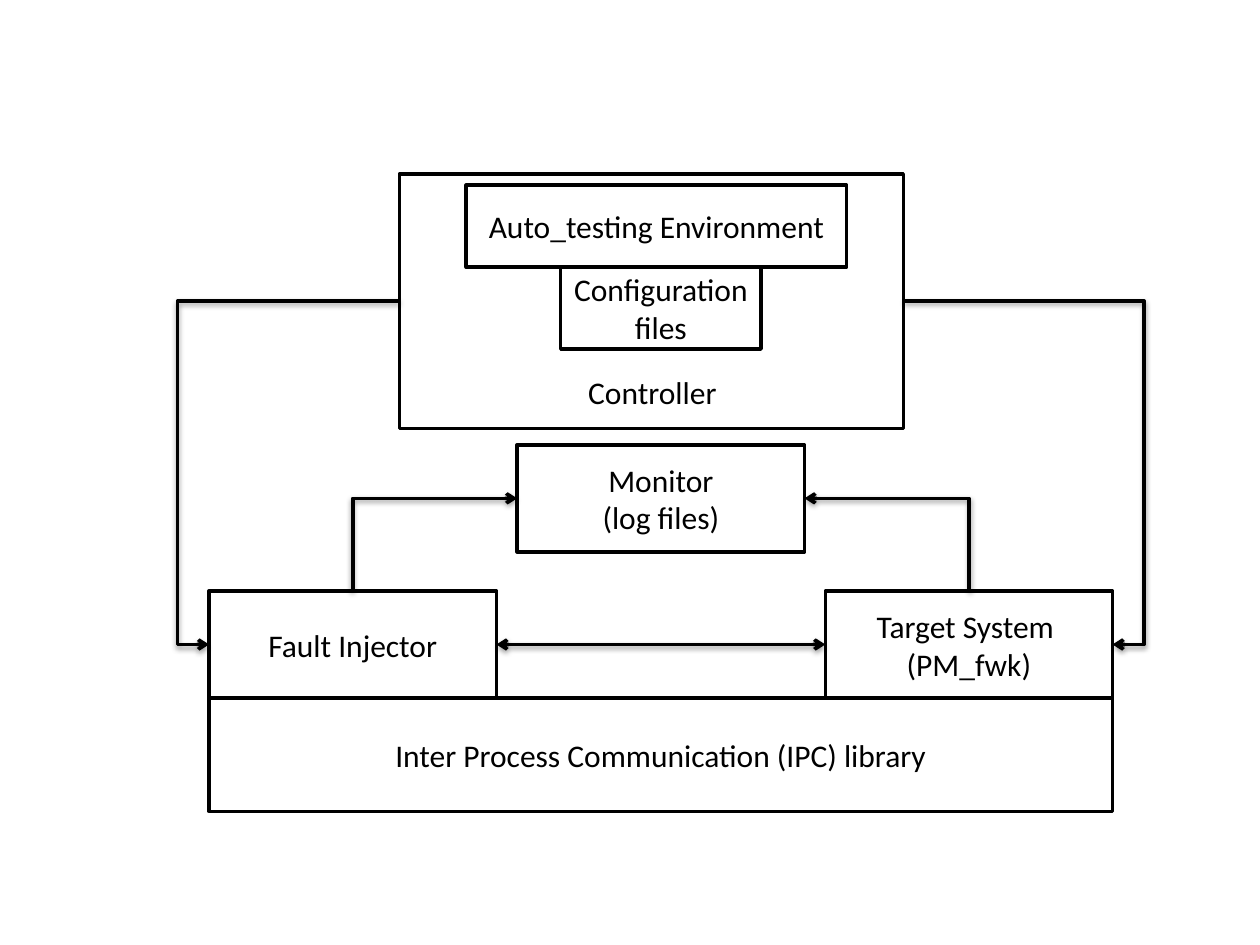
from dataclasses import dataclass

from lxml import etree
from pptx import Presentation
from pptx.dml.color import RGBColor
from pptx.enum.shapes import MSO_CONNECTOR, MSO_SHAPE
from pptx.enum.text import MSO_ANCHOR, MSO_AUTO_SIZE, PP_ALIGN
from pptx.oxml import parse_xml
from pptx.oxml.ns import nsdecls, qn
from pptx.util import Inches, Pt

RECTANGLE = MSO_SHAPE.RECTANGLE
STRAIGHT, ELBOW = MSO_CONNECTOR.STRAIGHT, MSO_CONNECTOR.ELBOW
MIDDLE = MSO_ANCHOR.MIDDLE
CENTER, LEFT_ALIGN = PP_ALIGN.CENTER, PP_ALIGN.LEFT
FIT_SHAPE = MSO_AUTO_SIZE.SHAPE_TO_FIT_TEXT
TOP, LEFT, RIGHT = 0, 1, 3  # connection sites of a rectangle
BLANK_LAYOUT = 6


@dataclass(frozen=True)
class Theme:
    ink: RGBColor = RGBColor(0, 0, 0)
    paper: RGBColor = RGBColor(255, 255, 255)
    font: str = "Calibri"
    text_size: Pt = Pt(18)
    line_width: Pt = Pt(2)


class Diagram:
    def __init__(self, page, theme):
        self.page = page
        self.theme = theme

    def set_text(self, frame, text, align):
        paragraph = frame.paragraphs[0]
        paragraph.text = text
        paragraph.alignment = align
        for span in paragraph.runs:
            span.font.name = self.theme.font
            span.font.size = self.theme.text_size
            span.font.color.rgb = self.theme.ink

    def draw_line(self, line):
        line.color.rgb = self.theme.ink
        line.width = self.theme.line_width

    def box(self, left, top, width, height, text=""):
        box = self.page.shapes.add_shape(
            RECTANGLE, Inches(left), Inches(top), Inches(width), Inches(height))
        box.shadow.inherit = False
        box.fill.solid()
        box.fill.fore_color.rgb = self.theme.paper
        self.draw_line(box.line)
        box.text_frame.word_wrap = True
        box.text_frame.vertical_anchor = MIDDLE
        if text:
            self.set_text(box.text_frame, text, CENTER)
        return box

    def label(self, left, top, width, height, text):
        label = self.page.shapes.add_textbox(
            Inches(left), Inches(top), Inches(width), Inches(height))
        label.text_frame.word_wrap = False
        label.text_frame.auto_size = FIT_SHAPE
        self.set_text(label.text_frame, text, LEFT_ALIGN)

    def arrow(self, start, end, kind=ELBOW, preset=None, bend=None, ends=("tailEnd",)):
        """Join two (box, site) pairs; bend is the elbow position in 1/100000."""
        arrow = self.page.shapes.add_connector(kind, 0, 0, 0, 0)
        arrow.begin_connect(*start)
        arrow.end_connect(*end)
        self.draw_line(arrow.line)
        properties = arrow._element.spPr
        geometry = properties.find(qn("a:prstGeom"))
        if preset:
            geometry.set("prst", preset)
        if bend:
            guides = geometry.find(qn("a:avLst"))
            etree.SubElement(guides, qn("a:gd"), name="adj1", fmla=f"val {bend}")
        for name in ends:
            etree.SubElement(properties.find(qn("a:ln")), qn(f"a:{name}"), type="arrow")
        properties.append(parse_xml(
            f'<a:effectLst {nsdecls("a")}><a:outerShdw blurRad="{Pt(3.1)}" '
            f'dist="{Pt(1.6)}" dir="5400000" rotWithShape="0"><a:srgbClr val="{self.theme.ink}">'
            '<a:alpha val="38000"/></a:srgbClr></a:outerShdw></a:effectLst>'))


deck = Presentation()
deck.slide_width, deck.slide_height = Inches(10), Inches(7.5)
page = deck.slides.add_slide(deck.slide_layouts[BLANK_LAYOUT])
diagram = Diagram(page, Theme())

# Library and the components that stand on it
base_left, base_top, base_width = 1.66, 5.54, 7.17
part_width, part_height = 2.28, 0.85
part_top = base_top - part_height
target_left = base_left + base_width - part_width
diagram.box(base_left, base_top, base_width, 0.9,
            "Inter Process Communication (IPC) library")
injector = diagram.box(base_left, part_top, part_width, part_height, "Fault Injector")
target = diagram.box(target_left, part_top, part_width, part_height,
                     "Target System \n(PM_fwk)")
monitor = diagram.box((base_left + target_left) / 2, 3.53, part_width, part_height,
                      "Monitor\n(log files)")

# Controller with its inner parts
controller = diagram.box(3.17, 1.38, 4, 2.02)
diagram.label(4.57, 2.91, 1.24, 0.4, "Controller")
diagram.box(3.7, 1.47, 3.02, 0.65, "Auto_testing Environment")
diagram.box(4.45, 2.12, 1.59, 0.65, "Configuration files")

# Arrows between the components
diagram.arrow((injector, RIGHT), (target, LEFT), STRAIGHT, ends=("headEnd", "tailEnd"))
for component, side, bend in ((injector, LEFT, 116600), (target, RIGHT, 115100)):
    diagram.arrow((controller, side), (component, side), bend=bend)
    diagram.arrow((monitor, side), (component, TOP), preset="bentConnector2",
                  ends=("headEnd",))

deck.save("out.pptx")
